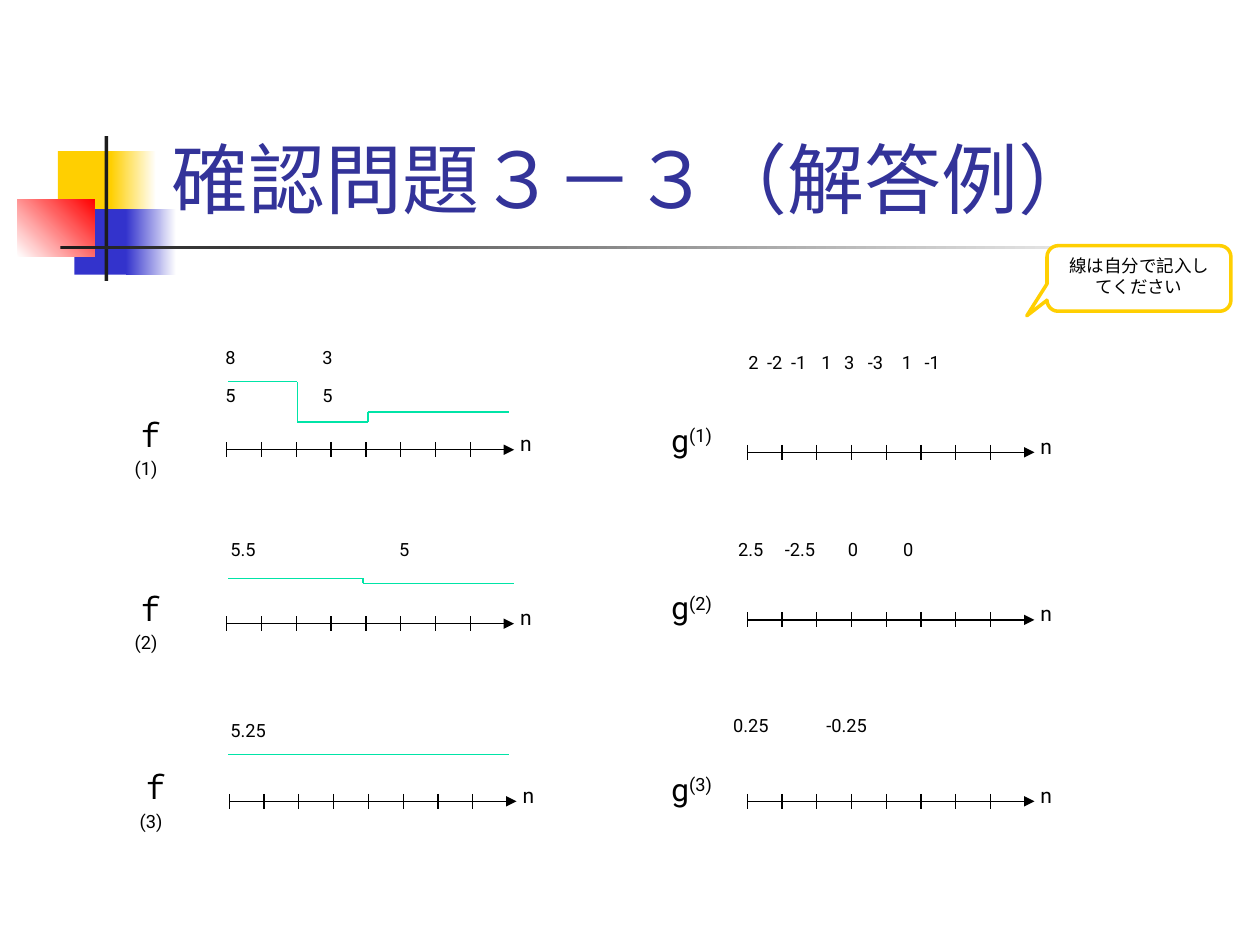
from dataclasses import dataclass
from itertools import pairwise

from lxml.etree import SubElement
from pptx import Presentation
from pptx.dml.color import RGBColor
from pptx.enum.shapes import MSO_CONNECTOR as Link, MSO_SHAPE as Kind
from pptx.enum.text import MSO_ANCHOR as Anchor, PP_ALIGN as Align
from pptx.oxml.ns import qn
from pptx.util import Inches, Pt

BLACK = RGBColor(0x00, 0x00, 0x00)
WHITE = RGBColor(0xFF, 0xFF, 0xFF)
GOLD = RGBColor(0xFF, 0xCF, 0x01)
BLUE = RGBColor(0x33, 0x33, 0xCC)
NAVY = RGBColor(0x33, 0x33, 0x99)
RED = RGBColor(0xFF, 0x00, 0x00)
DARK = RGBColor(0x1C, 0x1C, 0x1C)
GREEN = RGBColor(0x00, 0xE4, 0xA7)

FONT = "Roboto"
TICKS = 8
PITCH = 0.276
REACH = 2.28
HALF = 0.06
RAISED = 30000


@dataclass
class Block:
    box: tuple[float, float, float, float]
    fill: RGBColor
    end: RGBColor | None = None
    angle: float = 0


@dataclass
class Plot:
    name: str
    level: str
    left: float
    base: float
    label: tuple[float, float]
    values: tuple[float, float, float]
    rows: list[str]
    stops: list[float]
    steps: list[tuple[float, float]]


BLOCKS = [
    Block((0.46, 1.2, 0.48, 0.52), GOLD),
    Block((0.88, 1.2, 0.36, 0.52), GOLD, WHITE),
    Block((0.59, 1.66, 0.46, 0.52), BLUE),
    Block((1, 1.66, 0.4, 0.52), BLUE, WHITE),
    Block((0.14, 1.58, 0.61, 0.46), WHITE, RED, 45),
    Block((0.83, 1.08, 0.03, 1.15), DARK),
    Block((0.48, 1.95, 9, 0.03), DARK, WHITE),
]

PLOTS = [
    Plot("ｆ", "(1)", 1.8, 3.57, (0.97, 3.25), (1.69, 2.67, 2.24),
         ["8\t3", "5\t5"], [0.77],
         [(1.81, 3.03), (2.36, 3.03), (2.36, 3.35), (2.92, 3.35),
          (2.92, 3.27), (3.48, 3.27), (4.04, 3.27)]),
    Plot("ｆ", "(2)", 1.8, 4.95, (0.97, 4.63), (1.73, 4.19, 2.24),
         ["5.5\t5"], [1.34],
         [(1.81, 4.59), (2.88, 4.59), (2.88, 4.63), (4.08, 4.63)]),
    Plot("ｆ", "(3)", 1.82, 6.36, (1.01, 6.05), (1.73, 5.63, 2.24),
         ["5.25"], [], [(1.81, 5.99), (4.04, 5.99)]),
    Plot("g", "(1)", 5.93, 3.59, (5.23, 3.29), (5.84, 2.71, 2.52),
         ["2\t-2\t-1\t1\t3\t-3\t1\t-1"],
         [0.15, 0.34, 0.58, 0.76, 0.95, 1.22, 1.4], []),
    Plot("g", "(2)", 5.93, 4.92, (5.23, 4.62), (5.76, 4.19, 2.52),
         ["2.5\t-2.5\t0\t0"], [0.37, 0.87, 1.31], []),
    Plot("g", "(3)", 5.93, 6.36, (5.23, 6.06), (5.72, 5.59, 2.52),
         ["0.25\t-0.25"], [0.74], []),
]


def put(item, **values) -> None:
    for key, value in values.items():
        setattr(item, key, value)


def add_run(para, text: str, size: float, color=BLACK, raised=False) -> None:
    run = para.add_run()
    run.text = text
    put(run.font, name=FONT, size=Pt(size))
    run.font.color.rgb = color
    if raised:
        run.font._element.set("baseline", str(RAISED))


def add_box(shapes, box, wrap=True, anchor=Anchor.TOP):
    frame = shapes.add_textbox(*map(Inches, box)).text_frame
    put(frame, word_wrap=wrap, vertical_anchor=anchor)
    return frame


def add_line(shapes, start, end, color=BLACK, arrow=False) -> None:
    line = shapes.add_connector(Link.STRAIGHT, *map(Inches, (*start, *end)))
    line.line.color.rgb = color
    line.line.width = Pt(0.75)
    if arrow:
        SubElement(line.line._get_or_add_ln(), qn("a:tailEnd"), type="triangle")
    SubElement(line._element.spPr, qn("a:effectLst"))


def add_block(shapes, block: Block) -> None:
    shape = shapes.add_shape(Kind.RECTANGLE, *map(Inches, block.box))
    shape.shadow.inherit = False
    shape.line.fill.background()
    if block.end is None:
        shape.fill.solid()
        shape.fill.fore_color.rgb = block.fill
        return
    shape.fill.gradient()
    shape.fill.gradient_angle = block.angle
    for stop, color in zip(shape.fill.gradient_stops, (block.fill, block.end)):
        stop.color.rgb = color


def add_values(shapes, plot: Plot) -> None:
    """Write the raised numbers, spaced by tab stops."""
    frame = add_box(shapes, (*plot.values, 0.4 * len(plot.rows)))
    for i, row in enumerate(plot.rows):
        para = frame.add_paragraph() if i else frame.paragraphs[0]
        tabs = SubElement(para._p.get_or_add_pPr(), qn("a:tabLst"))
        for stop in plot.stops:
            SubElement(tabs, qn("a:tab"), pos=str(Inches(stop)), algn="l")
        add_run(para, row, 18, raised=True)


def add_plot(shapes, plot: Plot) -> None:
    left, base = plot.left, plot.base
    add_line(shapes, (left, base), (left + REACH, base), arrow=True)
    for i in range(TICKS):
        x = left + i * PITCH
        add_line(shapes, (x, base - HALF), (x, base + HALF))
    unit = add_box(shapes, (left + 2.23, base - 0.2, 0.3, 0.3), wrap=False)
    add_run(unit.paragraphs[0], "n", 12)

    para = add_box(shapes, (*plot.label, 0.6, 0.4), wrap=False).paragraphs[0]
    add_run(para, plot.name, 18)
    if plot.name == "ｆ":
        para.add_line_break()
    add_run(para, plot.level, 18, raised=True)

    add_values(shapes, plot)
    for start, end in pairwise(plot.steps):
        add_line(shapes, start, end, GREEN)


def add_callout(shapes) -> None:
    box = map(Inches, (8.31, 1.95, 1.46, 0.52))
    shape = shapes.add_shape(Kind.ROUNDED_RECTANGULAR_CALLOUT, *box)
    shape.shadow.inherit = False
    for i, value in enumerate((-0.61, 0.57, 0.17)):
        shape.adjustments[i] = value
    shape.fill.solid()
    shape.fill.fore_color.rgb = WHITE
    shape.line.color.rgb = GOLD
    shape.line.width = Pt(2)
    put(shape.text_frame, word_wrap=True, vertical_anchor=Anchor.TOP)
    para = shape.text_frame.paragraphs[0]
    para.alignment = Align.CENTER
    add_run(para, "線は自分で記入してください", 10)


def main() -> None:
    deck = Presentation()
    put(deck, slide_width=Inches(10), slide_height=Inches(7.5))
    shapes = deck.slides.add_slide(deck.slide_layouts[6]).shapes
    for block in BLOCKS:
        add_block(shapes, block)
    title = add_box(shapes, (1.26, 0.23, 8.52, 1.6), anchor=Anchor.BOTTOM)
    add_run(title.paragraphs[0], "確認問題３－３（解答例）", 44, NAVY)
    for plot in PLOTS:
        add_plot(shapes, plot)
    add_callout(shapes)
    deck.save("out.pptx")


if __name__ == "__main__":
    main()
